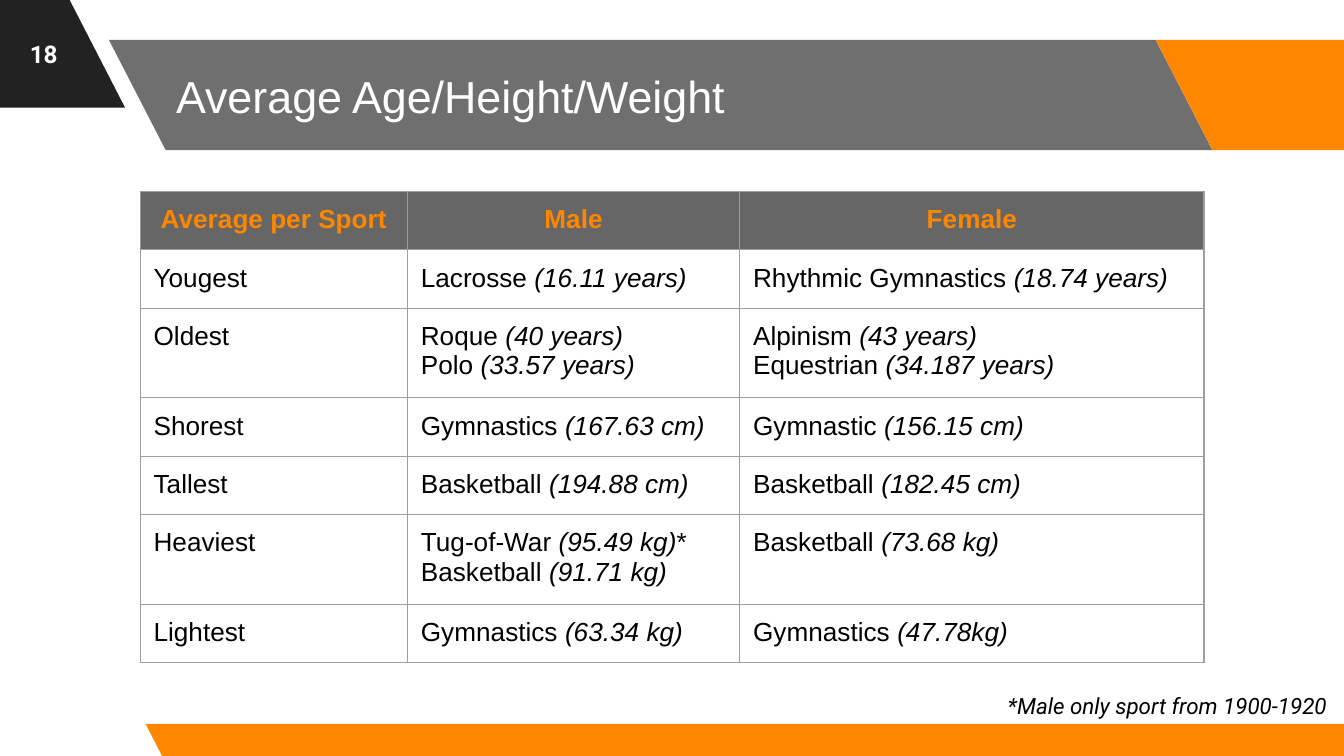
from dataclasses import dataclass

from lxml import etree
from pptx import Presentation
from pptx.dml.color import RGBColor
from pptx.enum import shapes, text
from pptx.oxml import ns
from pptx.util import Pt


@dataclass(frozen=True)
class Theme:
    """Colours, fonts and type sizes of the deck."""
    dark: str = "222222"
    accent: str = "FF8700"
    head: str = "666666"
    rule: str = "9E9E9E"
    white: str = "FFFFFF"
    black: str = "000000"
    sans: str = "Arial"
    label: str = "Roboto"
    title: int = 24
    body: int = 14
    page: int = 13
    note: int = 12


THEME = Theme()
LEFT, MID = text.PP_ALIGN.LEFT, text.PP_ALIGN.CENTER
TOP, CENTRE = text.MSO_ANCHOR.TOP, text.MSO_ANCHOR.MIDDLE
PAD = 7.2
COLS = (143.2, 178, 248.8)
ROW = 30
ROWS = (
    ("Average per Sport", "Male", "Female"),
    ("Yougest", "Lacrosse |(16.11 years)", "Rhythmic Gymnastics |(18.74 years)"),
    ("Oldest", "Roque |(40 years)\nPolo |(33.57 years)",
     "Alpinism |(43 years)\nEquestrian |(34.187 years)"),
    ("Shorest", "Gymnastics |(167.63 cm)", "Gymnastic |(156.15 cm)"),
    ("Tallest", "Basketball |(194.88 cm)", "Basketball |(182.45 cm)"),
    ("Heaviest", "Tug-of-War |(95.49 kg)|*\nBasketball |(91.71 kg)",
     "Basketball |(73.68 kg)"),
    ("Lightest", "Gymnastics |(63.34 kg)", "Gymnastics |(47.78kg)"),
)
BANDS = (
    (-71.2, -1.4, 138.2, 59, THEME.dark, 100),
    (58.4, 21.4, 591.1, 59, THEME.dark, 65),
    (619.2, 21.4, 138.2, 59, THEME.accent, 100),
    (78, 387.8, 658.8, 18, THEME.accent, 100),
)


def paint(fill, shade):
    """Fill with one solid colour."""
    fill.solid()
    fill.fore_color.rgb = RGBColor.from_string(shade)


def style(para, font, size, shade, bold=False, align=LEFT):
    """Set the font and alignment of a paragraph."""
    para.alignment = align
    para.font.name, para.font.size, para.font.bold = font, Pt(size), bold
    para.font.color.rgb = RGBColor.from_string(shade)


def write(frame, words, *look, **more):
    """Write styled lines, with every second part between bars in italics."""
    for row, line in enumerate(words.split("\n")):
        para = frame.add_paragraph() if row else frame.paragraphs[0]
        style(para, *look, **more)
        for spot, part in enumerate(line.split("|")):
            if part:
                run = para.add_run()
                run.text = part
                if spot % 2:
                    run.font.italic = True


def inset(item, anchor):
    """Give a text frame or cell equal margins and an anchor."""
    item.margin_left = item.margin_right = Pt(PAD)
    item.margin_top = item.margin_bottom = Pt(PAD)
    item.vertical_anchor = anchor


def add_band(slide, left, top, width, height, shade, alpha):
    """Add a parallelogram that leans to the left."""
    band = slide.shapes.add_shape(shapes.MSO_SHAPE.PARALLELOGRAM,
                                  Pt(left), Pt(top), Pt(width), Pt(height))
    band.adjustments[0] = 0.515
    band.shadow.inherit = False
    band.line.fill.background()
    paint(band.fill, shade)
    props = band.element.spPr
    props.find(ns.qn("a:xfrm")).set("flipH", "1")
    if alpha < 100:
        tint = props.find(ns.qn("a:solidFill"))[0]
        etree.SubElement(tint, ns.qn("a:alpha")).set("val", str(alpha * 1000))


def add_title(slide, words):
    """Bring the title placeholder to the front, place it and fill it."""
    title = slide.shapes.title
    title.element.getparent().append(title.element)
    title.left, title.top, title.width, title.height = map(
        Pt, (87.1, 21.6, 529.2, 59))
    inset(title.text_frame, CENTRE)
    write(title.text_frame, words, THEME.sans, THEME.title, THEME.white)


def add_label(slide, box, words, anchor, *look, **more):
    """Add a text box with wrapped text."""
    frame = slide.shapes.add_textbox(*map(Pt, box)).text_frame
    frame.word_wrap = True
    inset(frame, anchor)
    write(frame, words, *look, **more)


def edge(cell):
    """Draw a thin rule on each side of a cell."""
    props = cell._tc.get_or_add_tcPr()
    for side in ("lnL", "lnR", "lnT", "lnB"):
        line = etree.SubElement(props, ns.qn("a:" + side), w=str(Pt(0.75)))
        fill = etree.SubElement(line, ns.qn("a:solidFill"))
        etree.SubElement(fill, ns.qn("a:srgbClr"), val=THEME.rule)


def add_grid(slide):
    """Add the table of averages."""
    table = slide.shapes.add_table(
        len(ROWS), len(COLS), Pt(75.1), Pt(102.6),
        Pt(sum(COLS)), Pt(ROW * len(ROWS))).table
    table.first_row = table.horz_banding = False
    for col, width in zip(table.columns, COLS):
        col.width = Pt(width)
    for row, line in enumerate(ROWS):
        table.rows[row].height = Pt(ROW)
        for col, words in enumerate(line):
            cell = table.cell(row, col)
            inset(cell, TOP)
            edge(cell)
            if row:
                cell.fill.background()
                write(cell.text_frame, words, THEME.sans, THEME.body,
                      THEME.black)
            else:
                paint(cell.fill, THEME.head)
                write(cell.text_frame, words, THEME.sans, THEME.body,
                      THEME.accent, bold=True, align=MID)


def main():
    """Build and save the slide."""
    deck = Presentation()
    deck.slide_width, deck.slide_height = Pt(720), Pt(405)
    slide = deck.slides.add_slide(deck.slide_layouts[5])
    for band in BANDS:
        add_band(slide, *band)
    add_title(slide, "Average Age/Height/Weight")
    add_label(slide, (0, 0, 46.8, 57.6), "18", CENTRE,
              THEME.label, THEME.page, THEME.white, bold=True, align=MID)
    add_grid(slide)
    add_label(slide, (532.8, 363.6, 187.2, 24.5),
              "|*Male only sport from 1900-1920", TOP,
              THEME.label, THEME.note, THEME.black)
    deck.save("out.pptx")


if __name__ == "__main__":
    main()
